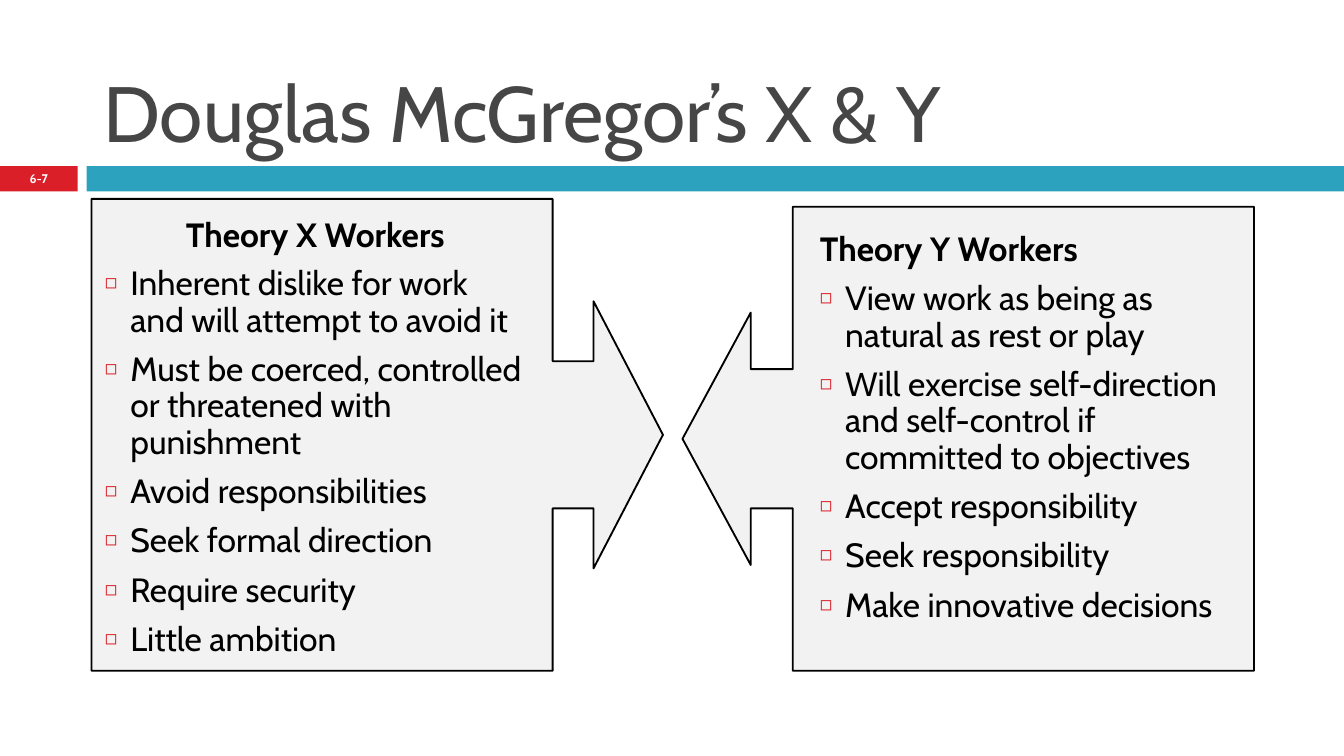
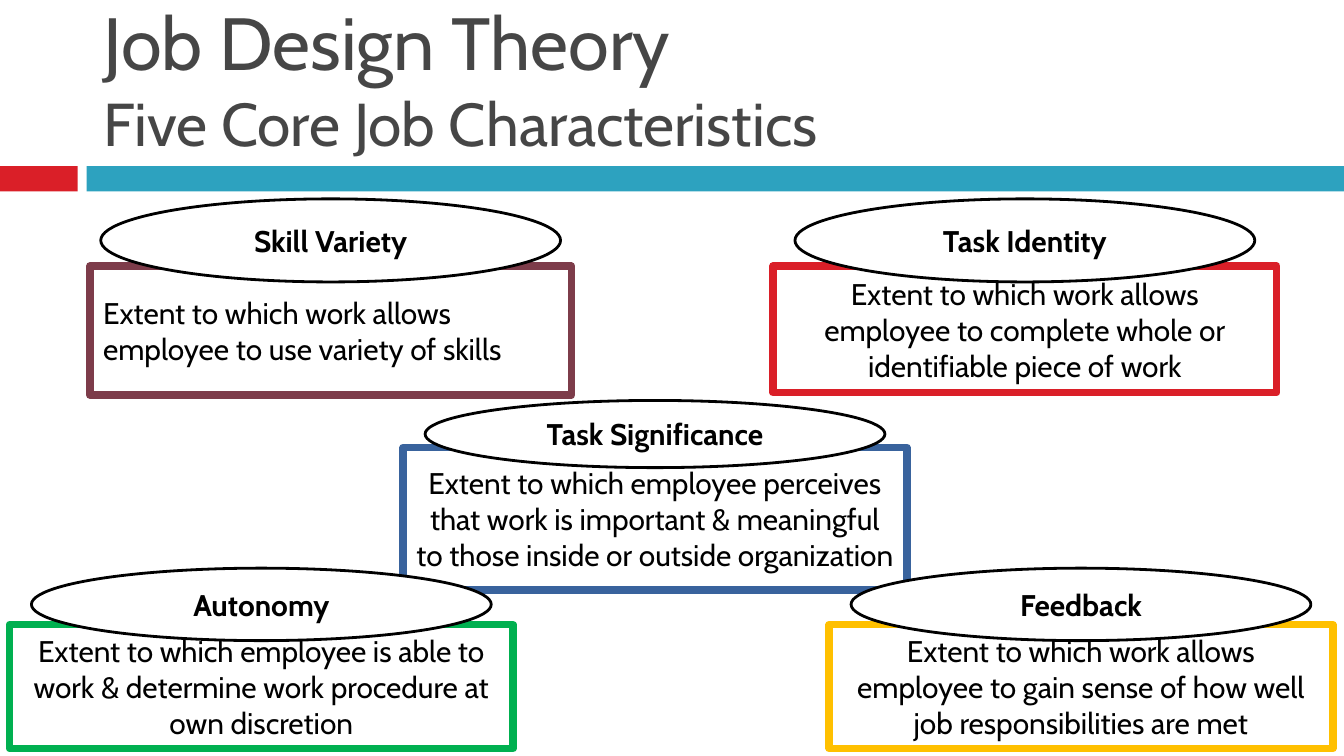
from lxml.etree import SubElement
from pptx import Presentation
from pptx.dml.color import RGBColor
from pptx.enum.shapes import MSO_SHAPE as Shape
from pptx.enum.text import MSO_ANCHOR as Anchor, MSO_AUTO_SIZE as AutoSize, PP_ALIGN as Align
from pptx.oxml.ns import qn
from pptx.util import Cm, Pt

FONT = "Cabin"
RED, TEAL, GREY = "DA1F28", "2DA2BF", "464646"
BLACK, WHITE, PALE = "000000", "FFFFFF", "F2F2F2"
SLIDE_WIDTH, SLIDE_HEIGHT = 25.4, 14.29

# Places are left, top, width, height in centimetres.
TITLE_PLACE = (1.7, 0.33, 22.66, 2.79)
BAND_TOP, BAND_HEIGHT = 3.14, 0.48
RED_WIDTH, TEAL_LEFT = 1.47, 1.64
BULLET_INDENT = 0.48
OVAL_WIDTH = 8.69

MCGREGOR_TITLE = [("Douglas McGregor’s X & Y", 42)]
JOB_DESIGN_TITLE = [("Job Design Theory", 39.6), ("Five Core Job Characteristics", 32.4)]
PAGE_NUMBER = "6-7"

THEORIES = [
    dict(
        heading="Theory X Workers", align=Align.CENTER, flip=False,
        callout=(1.73, 3.76, 10.8, 8.92), adjust=(0.312, 0.283, 0.147, 0.807),
        place=(1.73, 3.91, 8.46, 8.76),
        points=[
            "Inherent dislike for work and will attempt to avoid it",
            "Must be coerced, controlled or threatened with punishment",
            "Avoid responsibilities",
            "Seek formal direction",
            "Require security",
            "Little ambition",
        ],
    ),
    dict(
        heading="Theory Y Workers", align=Align.LEFT, flip=True,
        callout=(12.9, 3.91, 10.8, 8.77), adjust=(0.3, 0.272, 0.147, 0.807),
        place=(15.24, 4.19, 8.05, 7.82),
        points=[
            "View work as being as natural as rest or play",
            "Will exercise self-direction and self-control if committed to objectives",
            "Accept responsibility",
            "Seek responsibility",
            "Make innovative decisions",
        ],
    ),
]

# name, description, colour, alignment, centre, (oval top, height), (box top, width, height)
CHARACTERISTICS = [
    ("Task Identity",
     "Extent to which work allows employee to complete whole or identifiable piece of work",
     RED, Align.CENTER, 19.37, (3.76, 1.57), (5.03, 9.52, 2.39)),
    ("Skill Variety",
     "Extent to which work allows employee to use variety of skills",
     "7D3C4A", Align.LEFT, 6.25, (3.76, 1.57), (5.03, 9.1, 2.44)),
    ("Task Significance",
     "Extent to which employee perceives that work is important & meaningful "
     "to those inside or outside organization",
     "39639D", Align.CENTER, 12.38, (7.57, 1.27), (8.46, 9.52, 2.69)),
    ("Feedback",
     "Extent to which work allows employee to gain sense of how well "
     "job responsibilities are met",
     "FFC000", Align.CENTER, 20.43, (10.74, 1.37), (11.81, 9.52, 2.34)),
    ("Autonomy",
     "Extent to which employee is able to work & determine work procedure at own discretion",
     "00B050", Align.CENTER, 4.94, (10.74, 1.37), (11.81, 9.52, 2.34)),
]


def rgb(colour):
    return RGBColor.from_string(colour)


def move(shape, place):
    shape.left, shape.top, shape.width, shape.height = map(Cm, place)


def write(para, text, size=16, colour=BLACK, bold=False, align=Align.LEFT):
    para.alignment = align
    span = para.add_run()
    span.text = text
    font = span.font
    font.name, font.size, font.bold = FONT, Pt(size), bold
    font.color.rgb = rgb(colour)


def prepare(frame, anchor):
    frame.word_wrap = True
    frame.auto_size = AutoSize.NONE
    frame.vertical_anchor = anchor


def add_box(page, kind, place, fill, line=None, weight=1):
    box = page.shapes.add_shape(kind, *map(Cm, place))
    box.shadow.inherit = False
    box.fill.solid()
    box.fill.fore_color.rgb = rgb(fill)
    if line:
        box.line.color.rgb = rgb(line)
        box.line.width = Pt(weight)
    else:
        box.line.fill.background()
    prepare(box.text_frame, Anchor.MIDDLE)
    return box


def set_bullet(para, symbol=None):
    """Give a hanging indent with a red bullet, or with none."""
    props = para._p.get_or_add_pPr()
    props.set("marL", str(Cm(BULLET_INDENT)))
    props.set("indent", str(-Cm(BULLET_INDENT)))
    if symbol:
        colour = SubElement(props, qn("a:buClr"))
        SubElement(colour, qn("a:srgbClr"), val=RED)
        SubElement(props, qn("a:buSzPct"), val="60000")
        SubElement(props, qn("a:buChar"), char=symbol)
    else:
        SubElement(props, qn("a:buNone"))


def add_page(deck, layout, title_lines):
    """Add a slide with the two bands and a title of (text, size) lines."""
    page = deck.slides.add_slide(deck.slide_layouts.get_by_name(layout))
    add_box(page, Shape.RECTANGLE, (0, BAND_TOP, RED_WIDTH, BAND_HEIGHT), RED)
    add_box(page, Shape.RECTANGLE,
            (TEAL_LEFT, BAND_TOP, SLIDE_WIDTH - TEAL_LEFT, BAND_HEIGHT), TEAL)
    title = page.shapes.title
    move(title, TITLE_PLACE)
    prepare(title.text_frame, Anchor.BOTTOM)
    para = title.text_frame.paragraphs[0]
    for number, (text, size) in enumerate(title_lines):
        if number:
            para.add_line_break()
            SubElement(para._p[-1], qn("a:rPr"), sz=str(round(size * 100)))
        write(para, text, size=size, colour=GREY)
    return page


def add_theory(page, body, theory):
    callout = add_box(page, Shape.RIGHT_ARROW_CALLOUT, theory["callout"], PALE, BLACK)
    for number, value in enumerate(theory["adjust"]):
        callout.adjustments[number] = value
    if theory["flip"]:
        callout._element.spPr.find(qn("a:xfrm")).set("flipH", "1")

    callout._element.addnext(body._element)
    move(body, theory["place"])
    frame = body.text_frame
    prepare(frame, Anchor.TOP)
    heading = frame.paragraphs[0]
    heading.space_before = Pt(0)
    set_bullet(heading)
    write(heading, theory["heading"], size=18, bold=True, align=theory["align"])
    for point in theory["points"]:
        para = frame.add_paragraph()
        para.line_spacing = 0.9
        para.space_before = Pt(7)
        set_bullet(para, "◻")
        write(para, point, size=18)


def add_characteristic(page, name, description, colour, align, centre, oval_rows, box_size):
    top, width, height = box_size
    box = add_box(page, Shape.RECTANGLE, (centre - width / 2, top, width, height),
                  WHITE, colour, 4)
    write(box.text_frame.paragraphs[0], description, align=align)
    top, height = oval_rows
    oval = add_box(page, Shape.OVAL, (centre - OVAL_WIDTH / 2, top, OVAL_WIDTH, height),
                   WHITE, BLACK, 1.5)
    write(oval.text_frame.paragraphs[0], name, bold=True, align=Align.CENTER)


def main():
    deck = Presentation()
    deck.slide_width, deck.slide_height = Cm(SLIDE_WIDTH), Cm(SLIDE_HEIGHT)

    page = add_page(deck, "Two Content", MCGREGOR_TITLE)
    number = page.shapes.add_textbox(0, Cm(BAND_TOP), Cm(RED_WIDTH), Cm(BAND_HEIGHT))
    prepare(number.text_frame, Anchor.MIDDLE)
    write(number.text_frame.paragraphs[0], PAGE_NUMBER,
          size=6.7, colour=WHITE, bold=True, align=Align.CENTER)
    bodies = [page.placeholders[1], page.placeholders[2]]
    for body, theory in zip(bodies, THEORIES):
        add_theory(page, body, theory)

    page = add_page(deck, "Title Only", JOB_DESIGN_TITLE)
    for characteristic in CHARACTERISTICS:
        add_characteristic(page, *characteristic)

    deck.save("out.pptx")


if __name__ == "__main__":
    main()
